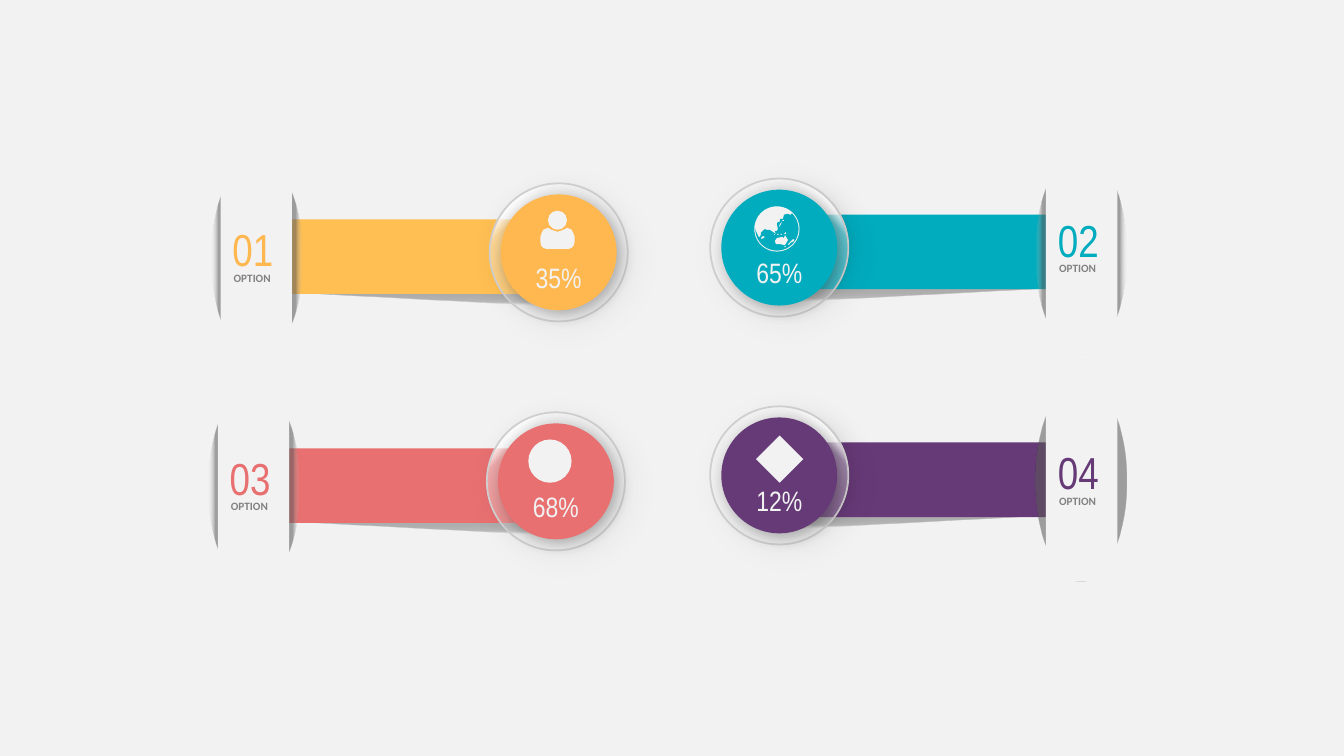
from dataclasses import dataclass
from math import cos, radians, sin
from typing import Callable, NamedTuple

from lxml.etree import SubElement
from pptx import Presentation
from pptx.dml.color import RGBColor
from pptx.enum.shapes import MSO_SHAPE
from pptx.enum.text import MSO_ANCHOR, MSO_AUTO_SIZE, PP_ALIGN
from pptx.oxml.ns import qn
from pptx.shapes.autoshape import Shape
from pptx.util import Cm, Pt


@dataclass(frozen=True)
class Theme:
    paper: str = "F2F2F2"
    ring_line: str = "D0CECE"
    caption: str = "818181"
    amber: str = "FFB850"
    amber_band: str = "FFBF52"
    teal: str = "01ACBE"
    coral: str = "E87071"
    purple: str = "663A77"
    narrow_font: str = "Arial Narrow"
    caption_font: str = "Calibri"
    number_size: int = 32
    percent_size: int = 20
    caption_size: int = 8


class Stop(NamedTuple):
    position: int
    color: str
    alpha: int = 100


class Shadow(NamedTuple):
    alpha: int
    blur: int
    distance: int


class Box(NamedTuple):
    """Centimetres; in an option, left is measured inward from its outer edge."""
    left: float
    top: float
    width: float
    height: float


Points = list[tuple[float, float]]
THEME = Theme()
BAND_SHADE = [Stop(43, "BFBFBF"), Stop(89, "595959", 36), Stop(100, "D9D9D9", 0)]
SLOT_SHADE = [Stop(43, "BFBFBF"), Stop(84, "595959", 55), Stop(100, "D9D9D9", 0)]
LAST_SLOT_SHADE = [Stop(43, "BFBFBF"), Stop(81, "595959", 55), Stop(99, "595959", 6)]
GLASS = [Stop(15, "FFFFFF"), Stop(22, "FFFFFF", 40), Stop(50, "FFFFFF", 20), Stop(100, "FFFFFF", 10)]

# Icon outlines, in hundredths of an inch from the icon centre
SHOULDER: Points = [(0, 2), (3, 1), (6, 0), (8, -1), (9, -2), (12, -1), (14, 0), (15, 2),
                    (16, 4), (17, 7), (17, 12), (16, 16), (14, 18), (11, 19)]
COAST: Points = [(14, -15), (14, -14), (10, -15), (7, -14), (6, -10), (3, -10), (3, -7), (1, -7),
                 (0, -5), (1, 0), (0, 2), (-2, 2), (-1, 5), (-7, 1), (-10, 1), (-12, 0),
                 (-16, 4), (-16, 6), (-17, 8), (-18, 8), (-21, 2), (-21, 0)]
ISLANDS: list[Points] = [
    [(8, 17), (9, 17), (8, 18), (7, 18)],
    [(16, 10), (16, 11), (17, 10), (17, 12), (13, 14), (12, 16), (11, 15), (13, 13), (14, 12)],
    [(-14, 7), (-12, 8), (-15, 10), (-16, 9)],
    [(8, 6), (11, 11), (8, 16), (7, 16), (3, 15), (-1, 15), (-2, 12), (0, 9), (5, 8), (7, 9)],
    [(-2, 5), (-2, 6), (-3, 6)],
    [(0, 5), (2, 5), (1, 6)],
    [(5, 5), (5, 6), (3, 5)],
    [(9, 3), (9, 5), (7, 5)],
    [(5, -7), (3, -3), (2, -2), (3, -5)],
    [(6, -9), (7, -9), (7, -8), (6, -8), (5, -8)],
]


def paint(shape: Shape, color: str) -> None:
    shape.shadow.inherit = False
    shape.fill.solid()
    shape.fill.fore_color.rgb = RGBColor.from_string(color)
    shape.line.fill.background()


def add_color(parent, color: str, alpha: int) -> None:
    tint = SubElement(parent, qn("a:srgbClr"), val=color)
    SubElement(tint, qn("a:alpha"), val=str(alpha * 1000))


def paint_gradient(shape: Shape, stops: list[Stop], angle: int | None = None) -> None:
    """Fill along an angle, or outward from the middle when there is none."""
    shape.fill.background()
    properties = shape._element.spPr
    blank = properties.find(qn("a:noFill"))
    gradient = properties.makeelement(qn("a:gradFill"), {"rotWithShape": "1"})
    properties.replace(blank, gradient)
    stop_list = SubElement(gradient, qn("a:gsLst"))
    for stop in stops:
        add_color(SubElement(stop_list, qn("a:gs"), pos=str(stop.position * 1000)), stop.color, stop.alpha)
    if angle is None:
        route = SubElement(gradient, qn("a:path"), {"path": "shape"})
        SubElement(route, qn("a:fillToRect"), dict.fromkeys("ltrb", "50000"))
    else:
        SubElement(gradient, qn("a:lin"), ang=str(angle * 60000), scaled="0")


def cast_shadow(shape: Shape, shadow: Shadow) -> None:
    effects = shape._element.spPr.find(qn("a:effectLst"))
    outer = SubElement(effects, qn("a:outerShdw"), blurRad=str(Pt(shadow.blur)), dist=str(Pt(shadow.distance)),
                       dir=str(45 * 60000), algn="tl", rotWithShape="0")
    add_color(outer, "000000", shadow.alpha)


def add_preset(shapes, kind: MSO_SHAPE, box: Box, color: str) -> Shape:
    shape = shapes.add_shape(kind, *map(Cm, box))
    paint(shape, color)
    return shape


def add_symbol(shapes, kind: MSO_SHAPE, x: float, y: float, size: float) -> None:
    add_preset(shapes, kind, Box(x - size / 2, y - size / 2, size, size), THEME.paper)


def add_outline(shapes, x: float, y: float, contours: list[Points], color: str) -> None:
    first, *others = [[(10 * px, 10 * py) for px, py in contour] for contour in contours]
    builder = shapes.build_freeform(*first[0], scale=Cm(2.54) / 1000)
    builder.add_line_segments(first[1:])
    for contour in others:
        builder.move_to(*contour[0]).add_line_segments(contour[1:])
    paint(builder.convert_to_shape(Cm(x), Cm(y)), color)


def draw_person(shapes, x: float, y: float) -> None:
    body = SHOULDER + [(-px, py) for px, py in reversed(SHOULDER)]
    add_outline(shapes, x, y, [body], THEME.paper)
    add_symbol(shapes, MSO_SHAPE.OVAL, x, y - 0.24, 0.48)


def draw_globe(shapes, x: float, y: float) -> None:
    rim = [(21.5 * cos(radians(a)), 21.5 * sin(radians(a))) for a in range(180, -46, -9)]
    add_symbol(shapes, MSO_SHAPE.OVAL, x, y, 1.14)
    add_outline(shapes, x, y, [COAST + rim], THEME.teal)
    add_outline(shapes, x, y, ISLANDS, THEME.paper)


def draw_circle(shapes, x: float, y: float) -> None:
    add_symbol(shapes, MSO_SHAPE.OVAL, x, y, 1.09)


def draw_diamond(shapes, x: float, y: float) -> None:
    add_symbol(shapes, MSO_SHAPE.DIAMOND, x, y, 1.19)


def add_text(shapes, box: Box, text: str, font: str, size: int, color: str, tight: bool = True) -> Shape:
    """A tight box has no margins and wraps; a loose one keeps both defaults."""
    label = shapes.add_textbox(*map(Cm, box))
    frame = label.text_frame
    frame.text = text
    frame.auto_size = MSO_AUTO_SIZE.SHAPE_TO_FIT_TEXT
    frame.word_wrap = tight
    if tight:
        frame.margin_left = frame.margin_right = frame.margin_top = frame.margin_bottom = 0
        frame.vertical_anchor = MSO_ANCHOR.MIDDLE
    lettering = frame.paragraphs[0].runs[0].font
    lettering.name, lettering.size = font, Pt(size)
    lettering.color.rgb = RGBColor.from_string(color)
    return label


@dataclass(frozen=True)
class Option:
    number: str
    percent: str
    color: str
    edge: float
    top: float
    draw_icon: Callable
    icon_x: float
    icon_y: float
    mirrored: bool = False
    band_color: str = ""
    slot_shade: tuple[Stop, ...] = tuple(SLOT_SHADE)
    label_lift: float = 0

    def place(self, part: Box) -> Box:
        left = self.edge - part.left - part.width if self.mirrored else self.edge + part.left
        return Box(left, self.top + part.top, part.width, part.height)


OPTIONS = [
    Option("01", "35%", THEME.amber, 5.56, 3.96, draw_person, 14.05, 5.79, band_color=THEME.amber_band),
    Option("02", "65%", THEME.teal, 28.16, 3.84, draw_globe, 19.58, 5.77, True, label_lift=0.12),
    Option("03", "68%", THEME.coral, 5.49, 9.73, draw_circle, 13.86, 11.62),
    Option("04", "12%", THEME.purple, 28.16, 9.58, draw_diamond, 19.65, 11.57, True,
           slot_shade=tuple(LAST_SLOT_SHADE)),
]


def draw_option(slide, option: Option) -> None:
    shapes = slide.shapes.add_group_shape().shapes

    def add_part(kind: MSO_SHAPE, part: Box, color: str) -> Shape:
        shape = add_preset(shapes, kind, option.place(part), color)
        if option.mirrored:
            shape._element.spPr.xfrm.set("flipH", "1")
        return shape

    band_shade = add_part(MSO_SHAPE.RECTANGLE, Box(1.22, 1.75, 7.54, 1.83), THEME.paper)
    band_shade.rotation = -3 if option.mirrored else 3
    paint_gradient(band_shade, BAND_SHADE)
    add_part(MSO_SHAPE.RECTANGLE, Box(0.91, 1.57, 7.7, 1.88), option.band_color or option.color)
    slot = add_part(MSO_SHAPE.OVAL, Box(-0.23, 0, 2.29, 5.08), THEME.paper)
    paint_gradient(slot, list(option.slot_shade))
    ring = add_part(MSO_SHAPE.OVAL, Box(6.78, 0.66, 3.48, 3.48), THEME.paper)
    paint_gradient(ring, GLASS, 45)
    ring.line.color.rgb = RGBColor.from_string(THEME.ring_line)
    ring.line.width = Pt(1.25)
    cast_shadow(ring, Shadow(15, 19, 7))
    disc = add_part(MSO_SHAPE.OVAL, Box(7.06, 0.94, 2.92, 2.92), option.color)
    cast_shadow(disc, Shadow(30, 12, 4))
    percent = add_text(shapes, option.place(Box(7.11, 2.59, 2.82, 0.86)), option.percent,
                       THEME.narrow_font, THEME.percent_size, THEME.paper)
    percent.text_frame.paragraphs[0].alignment = PP_ALIGN.CENTER
    option.draw_icon(shapes, option.icon_x, option.icon_y)
    tab = Box(0, 0, 1.8, 5.08)
    add_part(MSO_SHAPE.RECTANGLE, tab, THEME.paper)

    tab_left, label_top = option.place(tab).left, option.top - option.label_lift
    add_text(slide.shapes, Box(tab_left + 0.3, label_top + 1.62, 1.24, 1.37), option.number,
             THEME.narrow_font, THEME.number_size, option.color)
    caption = add_text(slide.shapes, Box(tab_left + 0.08, label_top + 2.74, 1.6, 0.61), "OPTION",
                       THEME.caption_font, THEME.caption_size, THEME.caption, tight=False)
    caption.text_frame.paragraphs[0].runs[0].font.bold = True


def main() -> None:
    deck = Presentation()
    deck.slide_width, deck.slide_height = Cm(33.87), Cm(19.05)
    slide = deck.slides.add_slide(deck.slide_layouts[6])
    slide.background.fill.solid()
    slide.background.fill.fore_color.rgb = RGBColor.from_string(THEME.paper)
    for option in OPTIONS:
        draw_option(slide, option)
    deck.save("out.pptx")


if __name__ == "__main__":
    main()
